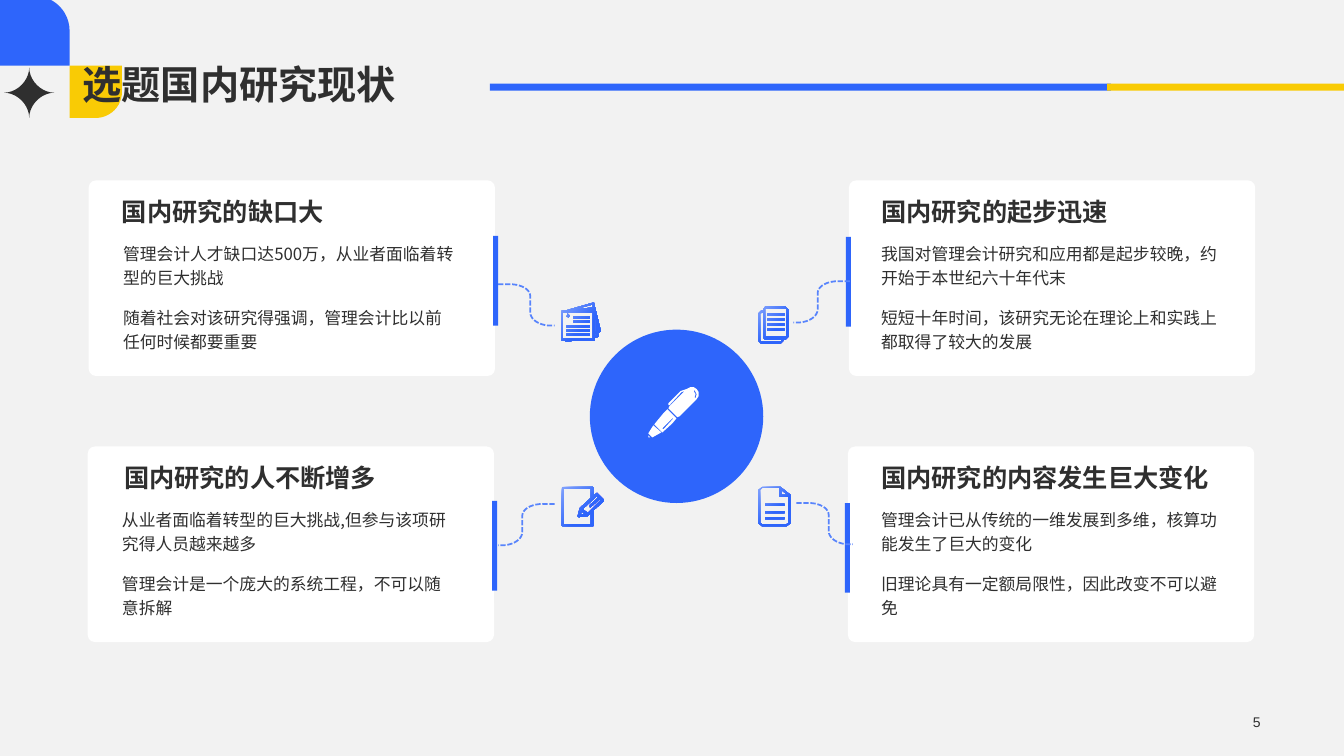
"""Build the slide on domestic research, with four cards around a pen."""
from dataclasses import dataclass

from lxml import etree
from pptx import Presentation
from pptx.dml.color import RGBColor
from pptx.enum import dml, shapes, text
from pptx.oxml.ns import qn
from pptx.util import Inches, Pt


@dataclass(frozen=True)
class Theme:
    """Colours, fonts and type sizes of the slide."""
    back: str = "F2F2F2"
    card: str = "FFFFFF"
    blue: str = "2E65FB"
    pale: str = "82A3FD"
    link: str = "5884FC"
    gold: str = "F9CB05"
    ink: str = "2F2F2F"
    latin: str = "Arial"
    chinese: str = "Noto Sans CJK SC"
    title: int = 28
    heading: int = 18
    body: int = 12
    number: int = 10


THEME = Theme()
SHAPE = shapes.MSO_SHAPE
TITLE = "选题国内研究现状"
PAGE_NUMBER = "5"

CARDS = [
    dict(at=(0.88, 1.79), bar=(4.89, 2.34), heading_left=1.21, body_left=1.22, width=3.28,
         heading="国内研究的缺口大",
         body=["管理会计人才缺口达500万，从业者面临着转型的巨大挑战",
               "随着社会对该研究得强调，管理会计比以前任何时候都要重要"]),
    dict(at=(8.42, 1.79), bar=(8.39, 2.35), heading_left=8.74, body_left=8.74, width=3.4,
         heading="国内研究的起步迅速",
         body=["我国对管理会计研究和应用都是起步较晚，约开始于本世纪六十年代末",
               "短短十年时间，该研究无论在理论上和实践上都取得了较大的发展"]),
    dict(at=(0.87, 4.43), bar=(4.88, 4.97), heading_left=1.23, body_left=1.21, width=3.28,
         heading="国内研究的人不断增多",
         body=["从业者面临着转型的巨大挑战,但参与该项研究得人员越来越多",
               "管理会计是一个庞大的系统工程，不可以随意拆解"]),
    dict(at=(8.41, 4.43), bar=(8.38, 4.99), heading_left=8.74, body_left=8.74, width=3.4,
         heading="国内研究的内容发生巨大变化",
         body=["管理会计已从传统的一维发展到多维，核算功能发生了巨大的变化",
               "旧理论具有一定额局限性，因此改变不可以避免"]),
]
LINKS = [(7.9, 4.99, 1), (4.94, 2.82, 1), (8.43, 2.79, -1), (5.5, 5, -1)]

NEWSPAPER = [
    [(32, 0), (39, 29), (36, 30), (37, 34), (33, 35), (33, 38), (12, 38), (4, 39), (4, 38),
     (0, 38), (0, 8), (4, 8)],
    (1, 10, 31, 36), [(31, 7), (23, 8), (31, 8)], [(31, 2), (13, 7), (31, 5)],
    (33, 17, 34, 29), [(34, 18), (36, 28), (37, 28)], (33, 31, 34, 33),
    [(6, 11), (8, 13), (7, 15), (5, 14)],
    *[(5, top, 28, top + 2) for top in (23, 27, 31)],
    *[(12, top, 28, top + 2) for top in (14, 18)],
]
NOTEPAD = [
    [(42, 13), (35, 6), (34, 7), (32, 8), (32, 1), (31, 0), (1, 0), (0, 1), (0, 38), (1, 39),
     (31, 39), (32, 38), (32, 23), (42, 14)],
    [(29, 37), (2, 37), (2, 2), (29, 2), (29, 11), (18, 21), (16, 29), (17, 30), (26, 29),
     (29, 26)],
    [(20, 24), (23, 27), (19, 27)],
    [(26, 26), (21, 22), (35, 9), (36, 11), (28, 18), (28, 20), (29, 20), (38, 12), (39, 13)],
]
PAGES = [
    [(7, 0), (27, 0), (30, 3), (30, 30), (27, 33), (25, 33), (25, 34), (22, 37), (3, 37),
     (0, 34), (0, 7), (3, 4), (5, 4), (5, 3)],
    (7, 2, 28, 30),
    [(5, 6), (2, 7), (2, 34), (3, 35), (22, 35), (23, 34), (23, 33), (7, 33), (5, 31)],
    *[(9, top, 26, top + 2) for top in (7, 12, 17, 22)],
]
DOCUMENT = [
    [(28, 39), (4, 39), (0, 36), (0, 3), (4, 0), (22, 0), (32, 8), (32, 36)],
    [(30, 10), (22, 10), (21, 9), (21, 1), (4, 1), (2, 3), (2, 36), (4, 37), (28, 37), (30, 36)],
    [(23, 3), (23, 8), (29, 8)],
    *[(7, top, 26, top + 2) for top in (17, 24, 30)],
]
PEN = [
    [(0, 49), (2, 51), (0, 51)], [(0, 47), (4, 51), (13, 46), (5, 39)],
    [(19, 23), (28, 32), (24, 37), (14, 46), (6, 38), (15, 27)],
    [(14, 42), (15, 43), (25, 32), (24, 32)],
    [(48, 13), (31, 30), (29, 31), (20, 22), (21, 20), (36, 5), (33, 6), (21, 19), (20, 19),
     (20, 17), (32, 5), (38, 3), (42, 1), (45, 1), (48, 3), (50, 6), (50, 10)],
    [(46, 4), (45, 5), (47, 8), (46, 11), (47, 12), (48, 8)],
]
ICONS = [(5.57, 3, NEWSPAPER), (5.57, 4.83, NOTEPAD), (7.52, 3.04, PAGES), (7.52, 4.83, DOCUMENT)]


def color(name):
    return RGBColor.from_string(name)


def paint(shape, fill):
    shape.shadow.inherit = False
    shape.fill.solid()
    shape.fill.fore_color.rgb = color(fill)
    shape.line.fill.background()
    return shape


def add_block(page, kind, left, top, width, height, fill):
    return paint(page.shapes.add_shape(kind, *map(Inches, (left, top, width, height))), fill)


def write(frame, words, size, bold=False, spacing=1.0, align=text.PP_ALIGN.LEFT):
    frame.word_wrap = True
    para = frame.paragraphs[0]
    para.alignment, para.line_spacing = align, spacing
    span = para.add_run()
    span.text = words
    span.font.name, span.font.size, span.font.bold = THEME.latin, Pt(size), bold
    span.font.color.rgb = color(THEME.ink)
    latin = span.font._element.find(qn("a:latin"))
    east_asian = etree.Element(qn("a:ea"), typeface=THEME.chinese)
    latin.addnext(east_asian)
    return span


def add_label(page, left, top, width, height, words, size, **style):
    frame = page.shapes.add_textbox(*map(Inches, (left, top, width, height))).text_frame
    frame.margin_left = frame.margin_top = frame.margin_right = frame.margin_bottom = 0
    write(frame, words, size, **style).font.name = THEME.chinese


def bezier(start, first, second, end, steps=10):
    weights = [((1 - t) ** 3, 3 * t * (1 - t) ** 2, 3 * t * t * (1 - t), t ** 3)
               for t in (step / steps for step in range(steps + 1))]
    corners = (start, first, second, end)
    return [tuple(sum(w * c[axis] for w, c in zip(row, corners)) for axis in (0, 1))
            for row in weights]


def add_outline(page, contours, close=True):
    loops = [[(Inches(x), Inches(y)) for x, y in contour] for contour in contours]
    builder = page.shapes.build_freeform(*loops[0][0])
    builder.add_line_segments(loops[0][1:], close=close)
    for loop in loops[1:]:
        builder.move_to(*loop[0])
        builder.add_line_segments(loop[1:], close=close)
    return builder.convert_to_shape()


def add_icon(page, left, top, parts):
    contours = []
    for part in parts:
        if isinstance(part, tuple):
            x1, y1, x2, y2 = part
            part = [(x1, y1), (x2, y1), (x2, y2), (x1, y2)]
        contours.append([(left + x / 100, top + y / 100) for x, y in part])
    return paint(add_outline(page, contours), THEME.card)


def add_star(page, x, y, radius=0.25, pull=0.48):
    tips = [(0, -radius), (radius, 0), (0, radius), (-radius, 0)]
    edge = []
    for start, end in zip(tips, tips[1:] + tips[:1]):
        edge += bezier(start, [pull * v for v in start], [pull * v for v in end], end)
    paint(add_outline(page, [[(x + dx, y + dy) for dx, dy in edge]]), THEME.ink)


def add_link(page, x, y, direction):
    bends = [(0, 0), *bezier((0.12, 0), (0.23, 0), (0.32, 0.05), (0.32, 0.12)),
             *bezier((0.32, 0.28), (0.32, 0.35), (0.41, 0.41), (0.52, 0.41)), (0.56, 0.41)]
    link = add_outline(page, [[(x + direction * dx, y + dy) for dx, dy in bends]], close=False)
    link.shadow.inherit = False
    link.fill.background()
    link.line.color.rgb = color(THEME.link)
    link.line.width = Pt(1.25)
    link.line.dash_style = dml.MSO_LINE.SQUARE_DOT


def add_header(page):
    corner = add_block(page, SHAPE.ROUND_1_RECTANGLE, 0.69, 0.65, 0.52, 0.52, THEME.gold)
    corner.rotation = 90
    tab = add_block(page, SHAPE.ROUND_1_RECTANGLE, 0, -0.04, 0.69, 0.69, THEME.blue)
    corner.adjustments[0] = tab.adjustments[0] = 0.5
    add_star(page, 0.29, 0.92)
    add_block(page, SHAPE.RECTANGLE, 4.86, 0.83, 6.16, 0.07, THEME.blue)
    add_block(page, SHAPE.RECTANGLE, 10.98, 0.83, 2.35, 0.07, THEME.gold)
    title = page.shapes.title
    title.left, title.top, title.width, title.height = map(Inches, (0.72, 0, 11.88, 1.12))
    title.text_frame.vertical_anchor = text.MSO_ANCHOR.BOTTOM
    title.text_frame.auto_size = text.MSO_AUTO_SIZE.NONE
    write(title.text_frame, TITLE, THEME.title, bold=True, spacing=0.9)
    title.element.getparent().append(title.element)


def add_card(page, card):
    left, top = card["at"]
    panel = add_block(page, SHAPE.ROUNDED_RECTANGLE, left, top, 4.03, 1.94, THEME.card)
    panel.adjustments[0] = 0.037
    add_block(page, SHAPE.RECTANGLE, *card["bar"], 0.05, 0.89, THEME.blue)
    add_label(page, card["heading_left"], top + 0.16, card["width"], 0.3, card["heading"],
              THEME.heading, bold=True)
    for row, words in enumerate(card["body"]):
        add_label(page, card["body_left"], top + 0.59 + 0.63 * row, card["width"], 0.46, words,
                  THEME.body, spacing=1.2)


def main():
    deck = Presentation()
    deck.slide_width, deck.slide_height = Inches(13.33), Inches(7.5)
    page = deck.slides.add_slide(deck.slide_layouts[5])
    page.background.fill.solid()
    page.background.fill.fore_color.rgb = color(THEME.back)
    add_header(page)
    for card in CARDS:
        add_card(page, card)
    for link in LINKS:
        add_link(page, *link)
    add_block(page, SHAPE.OVAL, 5.85, 3.27, 1.72, 1.72, THEME.blue)
    add_icon(page, 6.43, 3.83, PEN)
    for place in ICONS:
        fill = add_icon(page, *place).fill
        fill.gradient()
        fill.gradient_angle = 315
        for stop, (position, shade) in zip(fill.gradient_stops, [(0, THEME.pale), (0.6, THEME.blue)]):
            stop.position, stop.color.rgb = position, color(shade)
    number = page.shapes.add_textbox(*map(Inches, (9.69, 7.04, 2.91, 0.24))).text_frame
    number.vertical_anchor = text.MSO_ANCHOR.MIDDLE
    write(number, PAGE_NUMBER, THEME.number, align=text.PP_ALIGN.RIGHT)
    deck.save("out.pptx")


if __name__ == "__main__":
    main()
